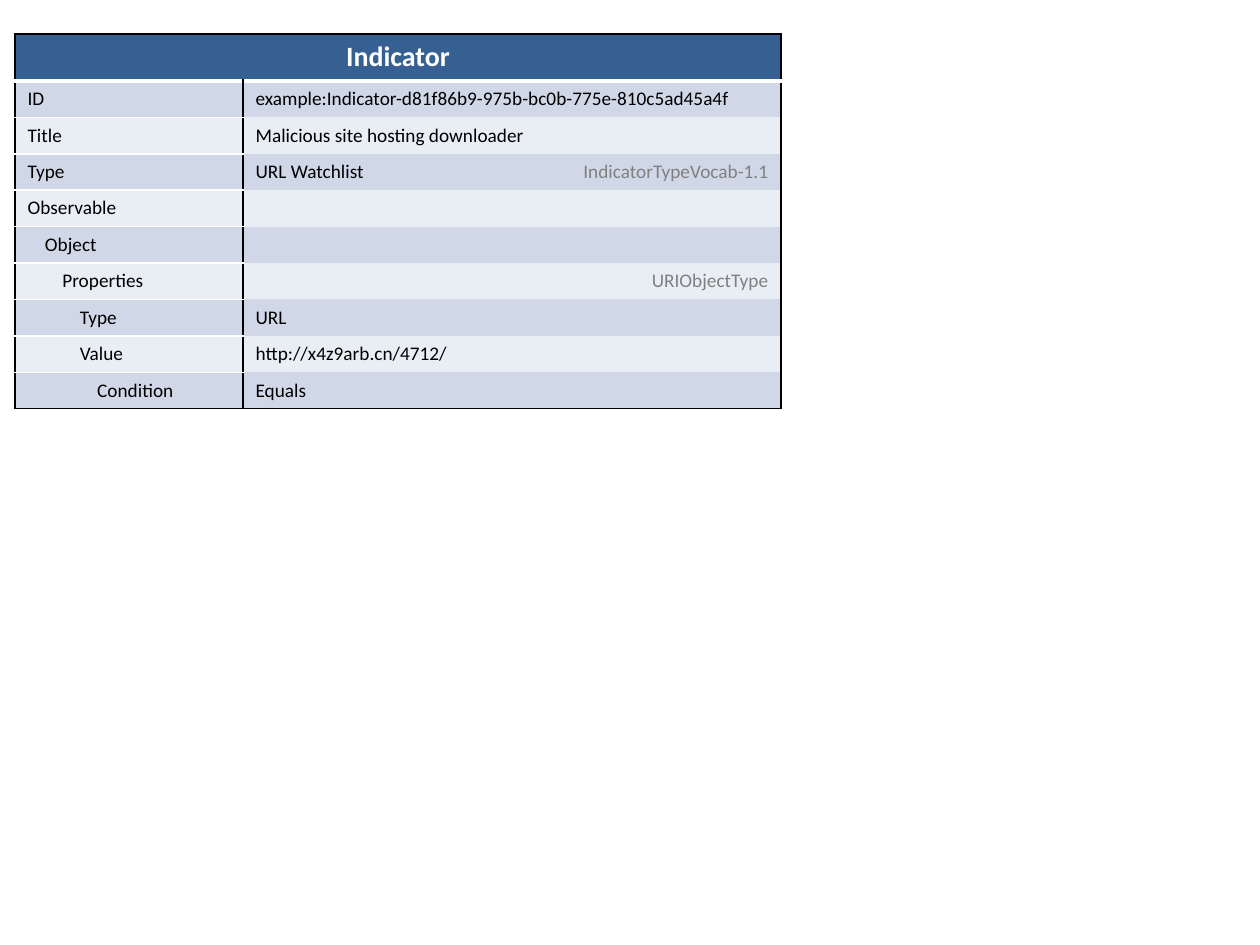
import pptx
import pptx.util
import pptx.dml.color
import pptx.enum.text
import pptx.oxml.ns
from lxml import etree

# Content: label, indent level, value, note (None: the value spans both columns)
TITLE = "Indicator"
ROWS = [
    ("ID", 0, "example:Indicator-d81f86b9-975b-bc0b-775e-810c5ad45a4f", None),
    ("Title", 0, "Malicious site hosting downloader", None),
    ("Type", 0, "URL Watchlist", "IndicatorTypeVocab-1.1"),
    ("Observable", 0, "", None),
    ("Object", 1, "", None),
    ("Properties", 2, "", "URIObjectType"),
    ("Type", 3, "URL", ""),
    ("Value", 3, "http://x4z9arb.cn/4712/", None),
    ("Condition", 4, "Equals", ""),
]
COLORS = {"header": "376092", "odd": "D0D8E8", "even": "E9EDF4",
          "black": "000000", "white": "FFFFFF", "note": "808080"}

# Layout in px
PX = pptx.util.Inches(1) / 126
LEFT, TOP = 15, 34
COLUMNS = [228, 246, 292]
HEADER_HEIGHT, ROW_HEIGHT, INDENT = 47, 36, 17.4
NO_STYLE = "{2D5ABB26-0587-4C30-8999-92F81FD0307C}"

ALIGN = pptx.enum.text.PP_ALIGN
BODY = {"name": "Calibri", "size": pptx.util.Pt(11), "bold": False}
HEADER = {"name": "Calibri", "size": pptx.util.Pt(16), "bold": True}
LINE = {"black": ("black", 1), "white": ("white", 1), "thick": ("white", 3)}


def px(value):
    return pptx.util.Emu(round(value * PX))


def rgb(name):
    return pptx.dml.color.RGBColor.from_string(COLORS[name])


def add_element(parent, tag, **attributes):
    return etree.SubElement(parent, pptx.oxml.ns.qn(tag), attributes)


def format_cell(cell, fill, borders):
    properties = cell._tc.get_or_add_tcPr()
    for side in "LRTB":
        if side in borders:
            color, width = LINE[borders[side]]
            line = add_element(properties, f"a:ln{side}",
                               w=str(pptx.util.Pt(width)))
            solid = add_element(line, "a:solidFill")
            add_element(solid, "a:srgbClr", val=COLORS[color])
        else:
            line = add_element(properties, f"a:ln{side}", w="0")
            add_element(line, "a:noFill")
    cell.fill.solid()
    cell.fill.fore_color.rgb = rgb(fill)


def write_cell(cell, text, font, color="black", align=ALIGN.LEFT, level=0):
    paragraph = cell.text_frame.paragraphs[0]
    paragraph.alignment = align
    if level:
        paragraph._p.get_or_add_pPr().set("marL", str(px(level * INDENT)))
    if not text:
        # Keeps an empty cell as low as the text beside it
        add_element(paragraph._p, "a:endParaRPr",
                    sz=str(int(font["size"].pt * 100)))
        return
    run = paragraph.add_run()
    run.text = text
    for name, value in font.items():
        setattr(run.font, name, value)
    run.font.color.rgb = rgb(color)


def main():
    presentation = pptx.Presentation()
    presentation.slide_width = pptx.util.Inches(10)
    presentation.slide_height = pptx.util.Inches(7.5)
    slide = presentation.slides.add_slide(presentation.slide_layouts[6])

    # Table grid
    height = HEADER_HEIGHT + ROW_HEIGHT * len(ROWS)
    frame = slide.shapes.add_table(len(ROWS) + 1, len(COLUMNS), px(LEFT),
                                   px(TOP), px(sum(COLUMNS)), px(height))
    table = frame.table
    table._tbl.tblPr.find(pptx.oxml.ns.qn("a:tableStyleId")).text = NO_STYLE
    for column, width in zip(table.columns, COLUMNS):
        column.width = px(width)
    for index, row in enumerate(table.rows):
        row.height = px(ROW_HEIGHT if index else HEADER_HEIGHT)

    # Header
    table.cell(0, 0).merge(table.cell(0, 2))
    for column in range(3):
        format_cell(table.cell(0, column), "header",
                    {"L": "black", "R": "black", "T": "black", "B": "thick"})
        write_cell(table.cell(0, column), "" if column else TITLE, HEADER,
                   "white", ALIGN.CENTER)

    # Body rows
    for index, (label, level, value, note) in enumerate(ROWS, 1):
        cells = [table.cell(index, column) for column in range(3)]
        spans = note is None
        if spans:
            cells[1].merge(cells[2])
        sides = [{"L": "black", "R": "black", "T": "white", "B": "white"},
                 {"L": "black"}, {"R": "black"}]
        if spans:
            sides[1]["R"] = "black"
        for cell, borders in zip(cells, sides):
            if index == 1:
                borders["T"] = "thick"
            if index == len(ROWS):
                borders["B"] = "black"
            format_cell(cell, "odd" if index % 2 else "even", borders)
        write_cell(cells[0], label, BODY, level=level)
        write_cell(cells[1], value, BODY)
        write_cell(cells[2], note, BODY, "note", ALIGN.RIGHT)

    presentation.save("out.pptx")


if __name__ == "__main__":
    main()
